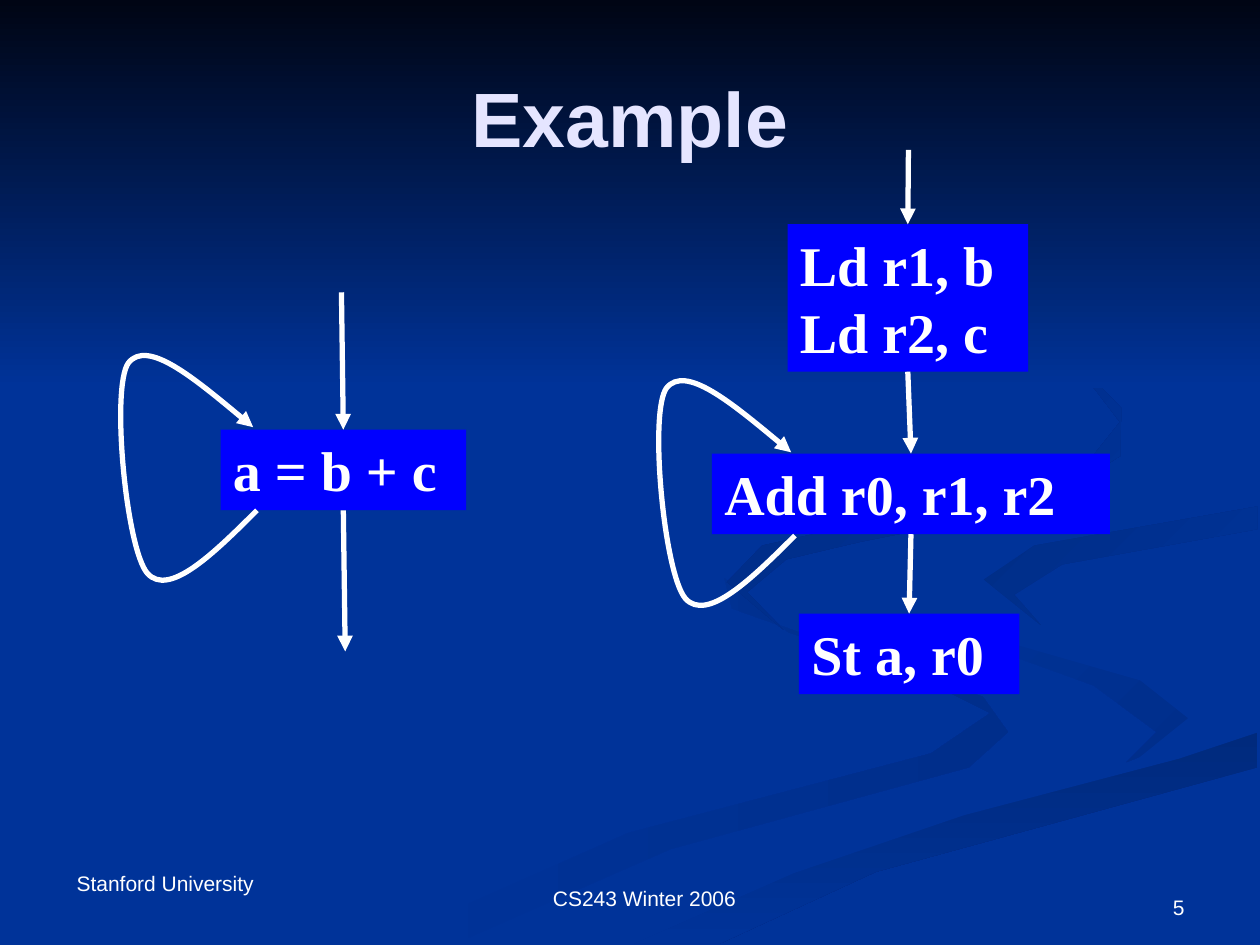
from lxml import etree
from pptx import Presentation
from pptx.dml.color import RGBColor
from pptx.enum.shapes import MSO_CONNECTOR, MSO_SHAPE
from pptx.enum.text import MSO_ANCHOR, PP_ALIGN
from pptx.oxml.ns import qn
from pptx.util import Cm, Pt

LINE, RECT = MSO_CONNECTOR.STRAIGHT, MSO_SHAPE.RECTANGLE
TOP, MID, LOW = MSO_ANCHOR.TOP, MSO_ANCHOR.MIDDLE, MSO_ANCHOR.BOTTOM
LEFT, MIDST, RIGHT = PP_ALIGN.LEFT, PP_ALIGN.CENTER, PP_ALIGN.RIGHT
NAVY = RGBColor(0x00, 0x33, 0x99)
NIGHT = RGBColor(0x00, 0x05, 0x14)
BLUE = RGBColor(0x00, 0x00, 0xFF)
WHITE = RGBColor(0xFF, 0xFF, 0xFF)
PALE = RGBColor(0xE5, 0xE5, 0xFF)
DUSK = RGBColor(0x00, 0x2E, 0x8B)
DEEP = RGBColor(0x00, 0x2A, 0x7D)
DIM = RGBColor(0x00, 0x2D, 0x86)
DARK = RGBColor(0x00, 0x2B, 0x82)
SANS, SERIF = "Arial", "Times New Roman"

SWIRLS = [
    (NAVY, DUSK, 0, [
        (7.8, 5.53), (6.26, 5.02), (5.75, 4.59), (5.81, 4.83), (7.14, 5.3), (7.86, 5.66),
        (7.39, 5.98), (4.99, 6.61), (3, 7.49), (3.61, 7.49), (5.32, 6.74), (7.69, 6.09),
        (8, 5.81)]),
    (NAVY, DUSK, 45, [
        (9.43, 5.7), (9.05, 5.4), (7.58, 4.98), (7.24, 4.64), (7.46, 5), (8.68, 5.44),
        (9.18, 5.81), (8.94, 6.05), (9.32, 5.89)]),
    (DEEP, NAVY, 90, [
        (5.03, 7.49), (5.71, 7.49), (6.95, 6.92), (9.98, 6.09), (9.98, 5.81),
        (9.36, 6.02), (7.64, 6.47), (6.3, 6.93)]),
    (NAVY, NAVY, 0, [
        (7.25, 4.64), (7.59, 4.98), (9.05, 5.4), (9.43, 5.7), (9.02, 6.03), (6.63, 6.68),
        (4.77, 7.49), (5.03, 7.49), (6.3, 6.93), (7.65, 6.47), (9.36, 6.02), (9.99, 5.81),
        (9.99, 5.38), (8.48, 5.03), (7.81, 4.63), (8.22, 4.34), (9.99, 4.02), (9.99, 3.87),
        (7.88, 4.22)]),
    (DIM, NAVY, 45, [
        (7.81, 4.6), (8.26, 4.96), (8.05, 4.72), (8.43, 4.48), (9.98, 4.2), (9.98, 4.02),
        (8.21, 4.33)]),
    (DARK, NAVY, 45, [
        (6.83, 4.3), (8.25, 4.02), (8.89, 3.62), (8.9, 3.24), (8.43, 2.75), (7.62, 2.33),
        (8.46, 2.79), (8.89, 3.35), (8.61, 3.7), (7.63, 3.98), (6.05, 4.33), (5.77, 4.62),
        (6.22, 5), (5.93, 4.7), (6.24, 4.44)]),
]
NOTES = [
    ("CS243 Winter 2006", 4.29, 6.98, 1.8, 0.3, TOP, LEFT),
    ("Stanford University", 0.51, 6.86, 1.88, 0.3, TOP, LEFT),
    ("5", 7.17, 6.83, 2.33, 0.52, LOW, RIGHT),
]
BLOCKS = {
    "load": (["Ld r1, b", "Ld r2, c"], 6.25, 1.78, 1.91, 1.17),
    "add": (["Add r0, r1, r2"], 5.65, 3.6, 3.16, 0.64),
    "store": (["St a, r0"], 6.34, 4.87, 1.75, 0.64),
    "sum": (["a = b + c"], 1.75, 3.41, 1.95, 0.64),
}
LINKS = [
    ((7.21, 1.19), "load"), ("load", "add"), ("add", "store"),
    ((2.71, 2.32), "sum"), ("sum", (2.74, 5.17)),
]
LOOP = [(1.16, 1.36), (0.81, 1.71), (0.46, 2.05), (0.29, 1.86), (0.12, 1.66),
        (0, 0.38), (0.14, 0.19), (0.29, 0), (0.71, 0.35), (1.13, 0.7)]
LOOPS = [(5.15, 2.89), (0.88, 2.69)]


def inch(*vals):
    return [Cm(2.54 * v) for v in vals]


def write(frame, lines, size, font, color, bold, anchor, align):
    frame.word_wrap = True
    frame.vertical_anchor = anchor
    for i, line in enumerate(lines):
        par = frame.paragraphs[0] if i == 0 else frame.add_paragraph()
        par.alignment = align
        run = par.add_run()
        run.text = line
        run.font.size, run.font.name, run.font.bold = Pt(size), font, bold
        run.font.color.rgb = color


def shade(shape, first, last, angle):
    shape.shadow.inherit = False
    shape.line.fill.background()
    if first == last:
        shape.fill.solid()
        shape.fill.fore_color.rgb = first
        return
    shape.fill.gradient()
    shape.fill.gradient_angle = (360 - angle) % 360
    for stop, color in zip(shape.fill.gradient_stops, (first, last)):
        stop.color.rgb = color


def trace(points, close):
    spots = [inch(*p) for p in points]
    pen = shapes.build_freeform(*spots[0], scale=1.0)
    pen.add_line_segments(spots[1:], close=close)
    return pen.convert_to_shape()


def arrow(shape):
    shape.line.color.rgb = WHITE
    shape.line.width = Pt(3)
    ln = shape._element.spPr.find(qn("a:ln"))
    etree.SubElement(ln, qn("a:tailEnd")).set("type", "triangle")


def bend(shape):
    steps = list(shape._element.iter(qn("a:lnTo")))
    for i in range(0, len(steps), 3):
        curve = etree.Element(qn("a:cubicBezTo"))
        steps[i].addprevious(curve)
        for step in steps[i:i + 3]:
            curve.append(step[0])
            step.getparent().remove(step)


deck = Presentation()
deck.slide_width, deck.slide_height = inch(10, 7.5)
slide = deck.slides.add_slide(deck.slide_layouts[5])
shapes = slide.shapes
slide.background.fill.solid()
slide.background.fill.fore_color.rgb = NAVY

for first, last, angle, points in SWIRLS:
    shade(trace(points, True), first, last, angle)
shade(shapes.add_shape(RECT, *inch(0, 0, 10, 3.08)), NIGHT, NAVY, 90)

for text, x, y, w, h, anchor, align in NOTES:
    box = shapes.add_textbox(*inch(x, y, w, h))
    write(box.text_frame, [text], 12, SANS, WHITE, False, anchor, align)

title = shapes.title
title.left, title.top, title.width, title.height = inch(0.5, 0.3, 9, 1.25)
write(title.text_frame, ["Example"], 44, SANS, PALE, True, MID, MIDST)
shapes._spTree.append(title._element)

nodes = {}
for name, (lines, *area) in BLOCKS.items():
    node = nodes[name] = shapes.add_shape(RECT, *inch(*area))
    shade(node, BLUE, BLUE, 0)
    write(node.text_frame, lines, 32, SERIF, WHITE, True, TOP, LEFT)

for start, end in LINKS:
    ends = [inch(*p) if isinstance(p, tuple) else (0, 0) for p in (start, end)]
    link = shapes.add_connector(LINE, *ends[0], *ends[1])
    if start in nodes:
        link.begin_connect(nodes[start], 2)
    if end in nodes:
        link.end_connect(nodes[end], 0)
    arrow(link)
    etree.SubElement(link._element.spPr, qn("a:effectLst"))

for x, y in LOOPS:
    loop = trace([(x + dx, y + dy) for dx, dy in LOOP], False)
    bend(loop)
    loop.fill.background()
    loop.shadow.inherit = False
    arrow(loop)

deck.save("out.pptx")
